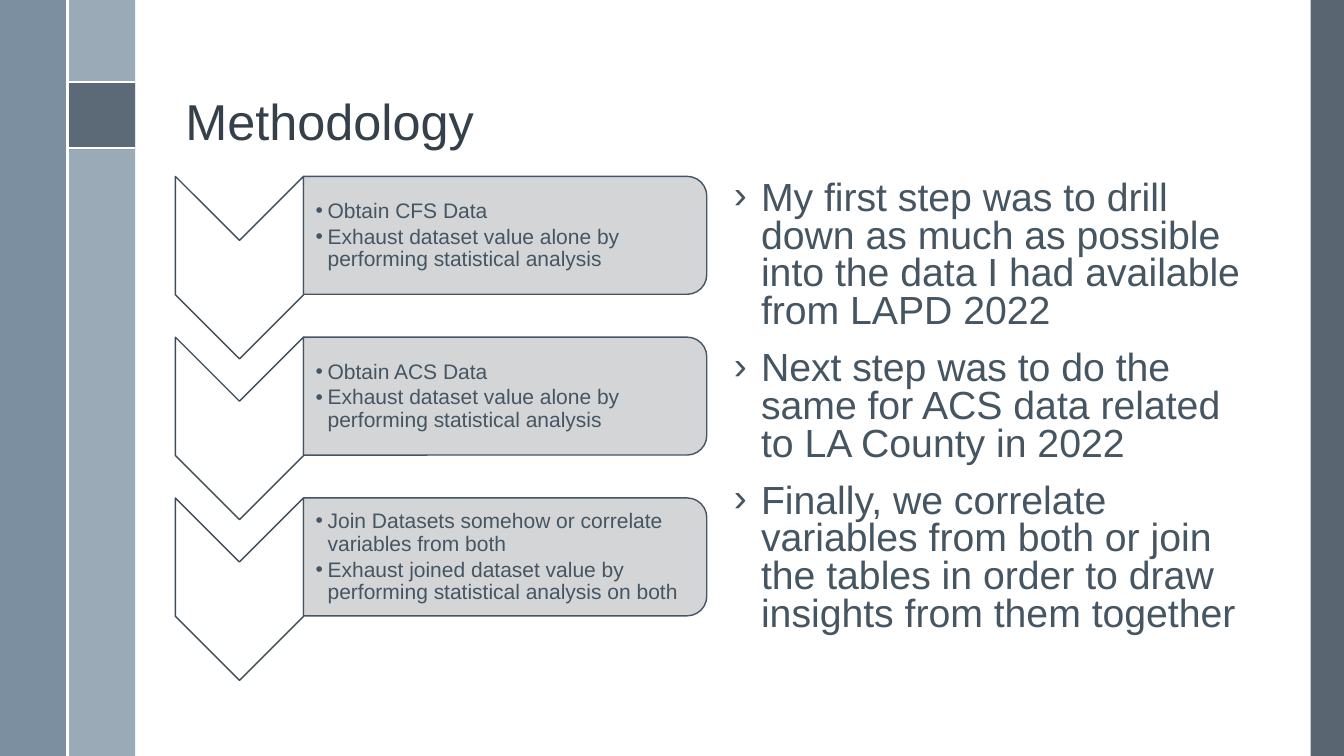
"""Builds the Methodology slide: three chevron steps beside a bulleted explanation."""
from lxml import etree
from pptx import Presentation
from pptx.dml.color import RGBColor
from pptx.enum.shapes import MSO_CONNECTOR, MSO_SHAPE
from pptx.enum.text import MSO_ANCHOR
from pptx.oxml.ns import qn
from pptx.util import Inches, Pt

TITLE = "Methodology"
STEPS = [
    ["Obtain CFS Data",
     "Exhaust dataset value alone by performing statistical analysis"],
    ["Obtain ACS Data",
     "Exhaust dataset value alone by performing statistical analysis"],
    ["Join Datasets somehow or correlate variables from both",
     "Exhaust joined dataset value by performing statistical analysis on both"],
]
EXPLANATION = [
    "My first step was to drill down as much as possible into the data I had available from LAPD 2022",
    "Next step was to do the same for ACS data related to LA County in 2022",
    "Finally, we correlate variables from both or join the tables in order to draw insights from them together",
]
BANDS = [
    ((13, 0, 0.33, 7.5), "475562", 90),
    ((0.67, 0, 0.67, 7.5), "9BAAB7", 100),
    ((0, 0, 0.67, 7.5), "6A8093", 88),
    ((0.67, 0.81, 0.67, 0.67), "475562", 75),
]
RULES = [(0.67, 0.81, 1.34, 0.81), (0.67, 1.47, 1.34, 1.47), (0.67, 0, 0.67, 7.5)]
PI_OUTLINE = [
    (1.18, 0.98), (0.9, 0.98), (0.86, 0.995), (0.83, 1.04), (0.84, 1.05), (0.85, 1.05),
    (0.87, 1.02), (0.9, 1.01), (0.94, 1.01), (0.925, 1.16), (0.88, 1.27), (0.88, 1.29),
    (0.9, 1.29), (0.945, 1.19), (0.97, 1.01), (1.06, 1.01), (1.05, 1.22), (1.05, 1.26),
    (1.07, 1.29), (1.1, 1.3), (1.12, 1.3), (1.16, 1.28), (1.19, 1.22), (1.18, 1.21),
    (1.16, 1.22), (1.145, 1.26), (1.11, 1.28), (1.08, 1.27), (1.07, 1.22), (1.09, 1.01),
    (1.18, 1.01), (1.19, 1), (1.19, 0.99),
]
FONT = "Arial"
TEXT_COLOR = "465562"
STEP_TOP, STEP_PITCH = 1.75, 1.595
CHEVRON_LEFT, CHEVRON_WIDTH, CHEVRON_HEIGHT = 1.74, 1.27, 1.81
PANEL_LEFT, PANEL_WIDTH, PANEL_HEIGHT = 3.01, 4, 1.17


def color(hex_text):
    return RGBColor.from_string(hex_text)


def paint(shape, fill, opacity=100, line=None):
    shape.shadow.inherit = False
    shape.fill.solid()
    shape.fill.fore_color.rgb = color(fill)
    if opacity < 100:
        fill_color = shape.fill._xPr.find(qn("a:solidFill"))[0]
        etree.SubElement(fill_color, qn("a:alpha")).set("val", str(opacity * 1000))
    if line:
        shape.line.color.rgb = color(line)
        shape.line.width = Pt(1)
    else:
        shape.line.fill.background()


def add_box(shapes, kind, box, fill, opacity=100, line=None):
    shape = shapes.add_shape(kind, *map(Inches, box))
    paint(shape, fill, opacity, line)
    return shape


def add_turned(shapes, kind, box, fill, opacity, line):
    left, top, width, height = box
    middle_x, middle_y = left + width / 2, top + height / 2
    unturned = (middle_x - height / 2, middle_y - width / 2, height, width)
    add_box(shapes, kind, unturned, fill, opacity, line).rotation = 90


def add_rule(shapes, ends):
    rule = shapes.add_connector(MSO_CONNECTOR.STRAIGHT, *map(Inches, ends))
    rule.line.color.rgb = color("FFFFFF")
    rule.line.width = Pt(1.5)
    etree.SubElement(rule._element.spPr, qn("a:effectLst"))


def add_text(shapes, box, lines, size, text_color=TEXT_COLOR, anchor=MSO_ANCHOR.TOP,
             spacing=0.9, before=0, after=0, bullet=None, indent=0, insets=None):
    frame = shapes.add_textbox(*map(Inches, box)).text_frame
    frame.word_wrap = True
    frame.vertical_anchor = anchor
    if insets:
        (frame.margin_left, frame.margin_top,
         frame.margin_right, frame.margin_bottom) = map(Inches, insets)
    frame.text = "\n".join(lines)
    for paragraph in frame.paragraphs:
        paragraph.line_spacing = spacing
        paragraph.space_before = Pt(before)
        paragraph.space_after = Pt(after)
        if bullet:
            properties = paragraph._p.get_or_add_pPr()
            properties.set("marL", str(Inches(indent)))
            properties.set("indent", str(-Inches(indent)))
            etree.SubElement(properties, qn("a:buFont")).set("typeface", FONT)
            etree.SubElement(properties, qn("a:buChar")).set("char", bullet)
        for run in paragraph.runs:
            run.font.name = FONT
            run.font.size = Pt(size)
            run.font.color.rgb = color(text_color)


def add_step(shapes, top, lines):
    add_turned(shapes, MSO_SHAPE.CHEVRON,
               (CHEVRON_LEFT, top, CHEVRON_WIDTH, CHEVRON_HEIGHT), "FFFFFF", 100, "404D59")
    add_turned(shapes, MSO_SHAPE.ROUND_2_SAME_RECTANGLE,
               (PANEL_LEFT, top, PANEL_WIDTH, PANEL_HEIGHT), "CFD1D3", 90, TEXT_COLOR)
    add_text(shapes, (PANEL_LEFT, top + 0.06, 3.94, 1.06), lines, 15,
             anchor=MSO_ANCHOR.MIDDLE, after=2.25, bullet="•", indent=0.12,
             insets=(0.12, 0.01, 0.01, 0.01))


def main():
    presentation = Presentation()
    presentation.slide_width, presentation.slide_height = Inches(13.33), Inches(7.5)
    slide = presentation.slides.add_slide(presentation.slide_layouts[6])
    shapes = slide.shapes

    for box, fill, opacity in BANDS:
        add_box(shapes, MSO_SHAPE.RECTANGLE, box, fill, opacity)
    for ends in RULES:
        add_rule(shapes, ends)
    builder = shapes.build_freeform(*PI_OUTLINE[0], scale=Inches(1))
    builder.add_line_segments(PI_OUTLINE[1:], close=True)
    paint(builder.convert_to_shape(), "FFFFFF")

    add_text(shapes, (1.74, 0.19, 10.7, 1.36), [TITLE], 36, "35404A", MSO_ANCHOR.BOTTOM)
    for index, lines in enumerate(STEPS):
        add_step(shapes, STEP_TOP + index * STEP_PITCH, lines)
    add_text(shapes, (7.18, 1.75, 5.27, 5), EXPLANATION, 28,
             spacing=0.8, before=14, bullet="›", indent=0.27)

    presentation.save("out.pptx")


if __name__ == "__main__":
    main()
